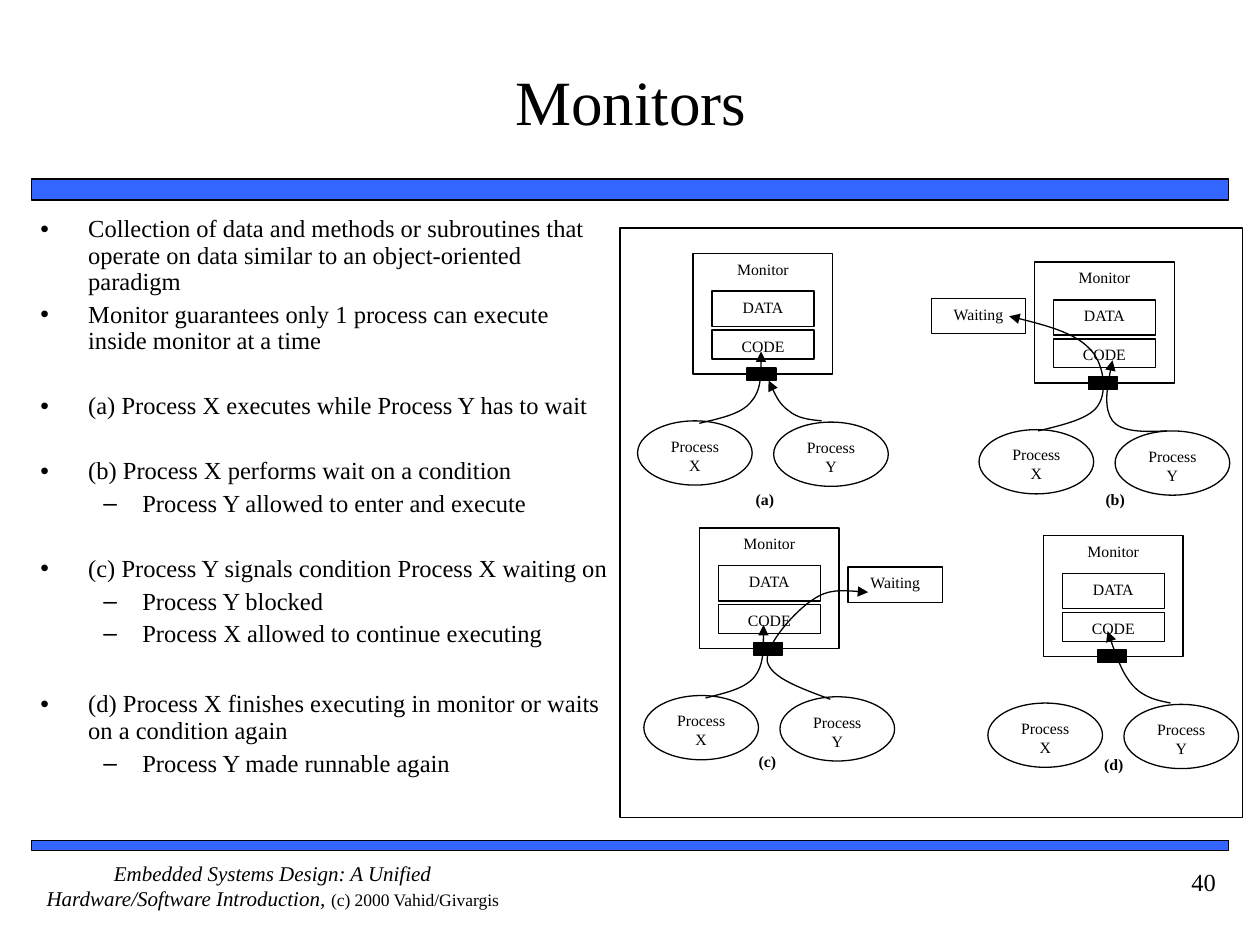
from lxml import etree
from pptx import Presentation
from pptx.dml.color import RGBColor
from pptx.enum.shapes import MSO_SHAPE
from pptx.enum.text import MSO_ANCHOR, MSO_AUTO_SIZE, PP_ALIGN
from pptx.oxml.ns import qn
from pptx.util import Inches, Pt

RECTANGLE, OVAL = MSO_SHAPE.RECTANGLE, MSO_SHAPE.OVAL
LEFT, CENTER, RIGHT = PP_ALIGN.LEFT, PP_ALIGN.CENTER, PP_ALIGN.RIGHT
TOP, MIDDLE = MSO_ANCHOR.TOP, MSO_ANCHOR.MIDDLE
NO_FIT = MSO_AUTO_SIZE.NONE

COLORS = {"ink": "000000", "paper": "FFFFFF", "bar": "3366FF"}
FONT = "Times New Roman"

# Level, space before in points, text
BULLETS = [
    (0, 0, "Collection of data and methods or subroutines that operate on data "
           "similar to an object-oriented paradigm"),
    (0, 3.5, "Monitor guarantees only 1 process can execute inside monitor at a time"),
    (0, 22, "(a) Process X executes while Process Y has to wait"),
    (0, 22, "(b) Process X performs wait on a condition"),
    (1, 3.5, "Process Y allowed to enter and execute"),
    (0, 22, "(c) Process Y signals condition Process X waiting on"),
    (1, 3.5, "Process Y blocked"),
    (1, 3.5, "Process X allowed to continue executing"),
    (0, 25, "(d) Process X finishes executing in monitor or waits on a condition again"),
    (1, 3.5, "Process Y made runnable again"),
]
BULLET_INDENTS = [(0.38, -0.38), (0.81, -0.31)]

# Monitor corner, caption, caption corner, caption top inset, waiting box corner
PANELS = [
    ((5.5, 2.01), "(a)", (5.86, 3.84), 0.05, None),
    ((8.21, 2.08), "(b)", (8.64, 3.84), 0.05, (7.39, 2.37)),
    ((5.55, 4.19), "(c)", (5.88, 5.97), 0, (6.73, 4.5)),
    ((8.28, 4.25), "(d)", (8.63, 5.99), 0, None),
]

# Start point, then two control points and an end point for each segment
ARROWS = [
    [(5.55, 3.36), (5.71, 3.32), (5.88, 3.29), (5.96, 3.19),
     (6.04, 3.1), (6.04, 2.94), (6.04, 2.79)],
    [(6.52, 3.34), (6.42, 3.33), (6.33, 3.32), (6.26, 3.26),
     (6.19, 3.21), (6.14, 3.11), (6.1, 3.02)],
    [(8.24, 3.42), (8.45, 3.37), (8.66, 3.32), (8.72, 3.21), (8.79, 3.1),
     (8.76, 2.87), (8.64, 2.76), (8.52, 2.64), (8.26, 2.57), (8.01, 2.51)],
    [(9.26, 3.42), (9.08, 3.43), (8.9, 3.43), (8.83, 3.34),
     (8.76, 3.24), (8.79, 3.05), (8.83, 2.86)],
    [(5.6, 5.54), (5.75, 5.5), (5.91, 5.47), (5.99, 5.37),
     (6.06, 5.28), (6.06, 5.12), (6.06, 4.96)],
    [(6.59, 5.55), (6.35, 5.46), (6.12, 5.38), (6.09, 5.25), (6.07, 5.12),
     (6.31, 4.85), (6.45, 4.76), (6.58, 4.67), (6.74, 4.69), (6.89, 4.7)],
    [(9.29, 5.58), (9.19, 5.56), (9.08, 5.54), (8.99, 5.44),
     (8.91, 5.35), (8.85, 5.18), (8.79, 5.01)],
]


class SlideBuilder:
    def __init__(self, slide):
        self.slide = slide

    def format_font(self, font, size, **formats):
        values = {"name": FONT, "size": Pt(size), **formats}
        for name, value in values.items():
            setattr(font, name, value)
        font.color.rgb = RGBColor.from_string(COLORS["ink"])

    def format_frame(self, frame, side=0.1, vertical=0.05, anchor=TOP):
        values = {
            "margin_left": Inches(side), "margin_right": Inches(side),
            "margin_top": Inches(vertical), "margin_bottom": Inches(vertical),
            "word_wrap": True, "auto_size": NO_FIT, "vertical_anchor": anchor,
        }
        for name, value in values.items():
            setattr(frame, name, value)

    def place(self, shape, box):
        for name, value in zip(("left", "top", "width", "height"), box):
            setattr(shape, name, Inches(value))

    def add_runs(self, paragraph, runs, align=CENTER):
        """Add runs given as (text, size, font formats)."""
        paragraph.alignment = align
        for text, size, formats in runs:
            run = paragraph.add_run()
            run.text = text
            self.format_font(run.font, size, **formats)

    def title(self, text, box):
        shape = self.slide.shapes.title
        self.place(shape, box)
        self.format_frame(shape.text_frame, side=0, anchor=MIDDLE)
        self.add_runs(shape.text_frame.paragraphs[0], [(text, 36, {})])

    def bullets(self, items, box):
        shape = self.slide.placeholders[1]
        self.place(shape, box)
        frame = shape.text_frame
        self.format_frame(frame)
        for index, (level, space, text) in enumerate(items):
            paragraph = frame.add_paragraph() if index else frame.paragraphs[0]
            margin, indent = BULLET_INDENTS[level]
            properties = paragraph._p.get_or_add_pPr()
            properties.set("marL", str(Inches(margin)))
            properties.set("indent", str(Inches(indent)))
            paragraph.level = level
            paragraph.line_spacing = 0.9
            paragraph.space_before = Pt(space)
            self.add_runs(paragraph, [(text, 14, {})], LEFT)

    def text(self, runs, box, align=CENTER, side=0.1, vertical=0.05):
        frame = self.slide.shapes.add_textbox(*map(Inches, box)).text_frame
        self.format_frame(frame, side, vertical)
        self.add_runs(frame.paragraphs[0], runs, align)

    def outline(self, shape, width=0.75):
        shape.shadow.inherit = False
        shape.line.color.rgb = RGBColor.from_string(COLORS["ink"])
        shape.line.width = Pt(width)

    def shape(self, box, text="", kind=RECTANGLE, fill="paper", width=0.75):
        shape = self.slide.shapes.add_shape(kind, *map(Inches, box))
        self.outline(shape, width)
        if fill:
            shape.fill.solid()
            shape.fill.fore_color.rgb = RGBColor.from_string(COLORS[fill])
        else:
            shape.fill.background()
        if text:
            self.format_frame(shape.text_frame)
            self.add_runs(shape.text_frame.paragraphs[0], [(text, 9, {})])

    def curved_arrow(self, points):
        """Draw a chain of cubic curves with an arrowhead at its end."""
        start, *others = [(Inches(x), Inches(y)) for x, y in points]
        builder = self.slide.shapes.build_freeform(*start)
        builder.add_line_segments(others, close=False)
        shape = builder.convert_to_shape()
        self.outline(shape)
        shape.fill.background()
        etree.SubElement(shape.line._get_or_add_ln(), qn("a:tailEnd"), type="triangle")
        lines = list(shape._element.iter(qn("a:lnTo")))
        for first in range(0, len(lines), 3):
            curve = etree.Element(qn("a:cubicBezTo"))
            lines[first].addprevious(curve)
            for line in lines[first:first + 3]:
                curve.append(line[0])
                line.getparent().remove(line)

    def monitor_panel(self, corner, caption, caption_corner, caption_inset, waiting):
        left, top = corner
        parts = [
            ((-0.44, 1.33, 0.91, 0.51), "Process X", OVAL, "paper"),
            ((0, 0, 1.11, 0.96), "Monitor", RECTANGLE, "paper"),
            ((0.15, 0.3, 0.81, 0.28), "DATA", RECTANGLE, "paper"),
            ((0.15, 0.61, 0.81, 0.23), "CODE", RECTANGLE, "paper"),
            ((0.43, 0.91, 0.23, 0.1), "", RECTANGLE, "ink"),
            ((0.64, 1.34, 0.91, 0.51), "Process Y", OVAL, "paper"),
        ]
        for (x, y, width, height), text, kind, fill in parts:
            self.shape((left + x, top + y, width, height), text, kind, fill)
        self.text([(caption, 9, {"bold": True})], (*caption_corner, 0.42, 0.3),
                  vertical=caption_inset)
        if waiting:
            self.shape((*waiting, 0.75, 0.28), "Waiting")


def main():
    presentation = Presentation()
    presentation.slide_width = Inches(10)
    presentation.slide_height = Inches(7.5)
    builder = SlideBuilder(presentation.slides.add_slide(presentation.slide_layouts[1]))

    for top, height in ((1.42, 0.17), (6.67, 0.08)):
        builder.shape((0.25, top, 9.5, height), fill="bar", width=1)
    builder.title("Monitors", (0.42, 0.17, 9.17, 1.25))
    builder.bullets(BULLETS, (0.22, 1.67, 4.74, 4.92))

    for panel in PANELS:
        builder.monitor_panel(*panel)
    for points in ARROWS:
        builder.curved_arrow(points)
    builder.shape((4.92, 1.81, 4.94, 4.68), fill=None)

    builder.text(
        [("Embedded Systems Design: A Unified Hardware/Software Introduction, ", 12,
          {"italic": True}),
         ("(c) 2000 Vahid/Givargis", 10, {})],
        (0.25, 6.83, 3.83, 0.5), side=0, vertical=0)
    builder.text([("40", 14, {})], (8.75, 6.83, 1, 0.5), RIGHT)
    presentation.save("out.pptx")


if __name__ == "__main__":
    main()
